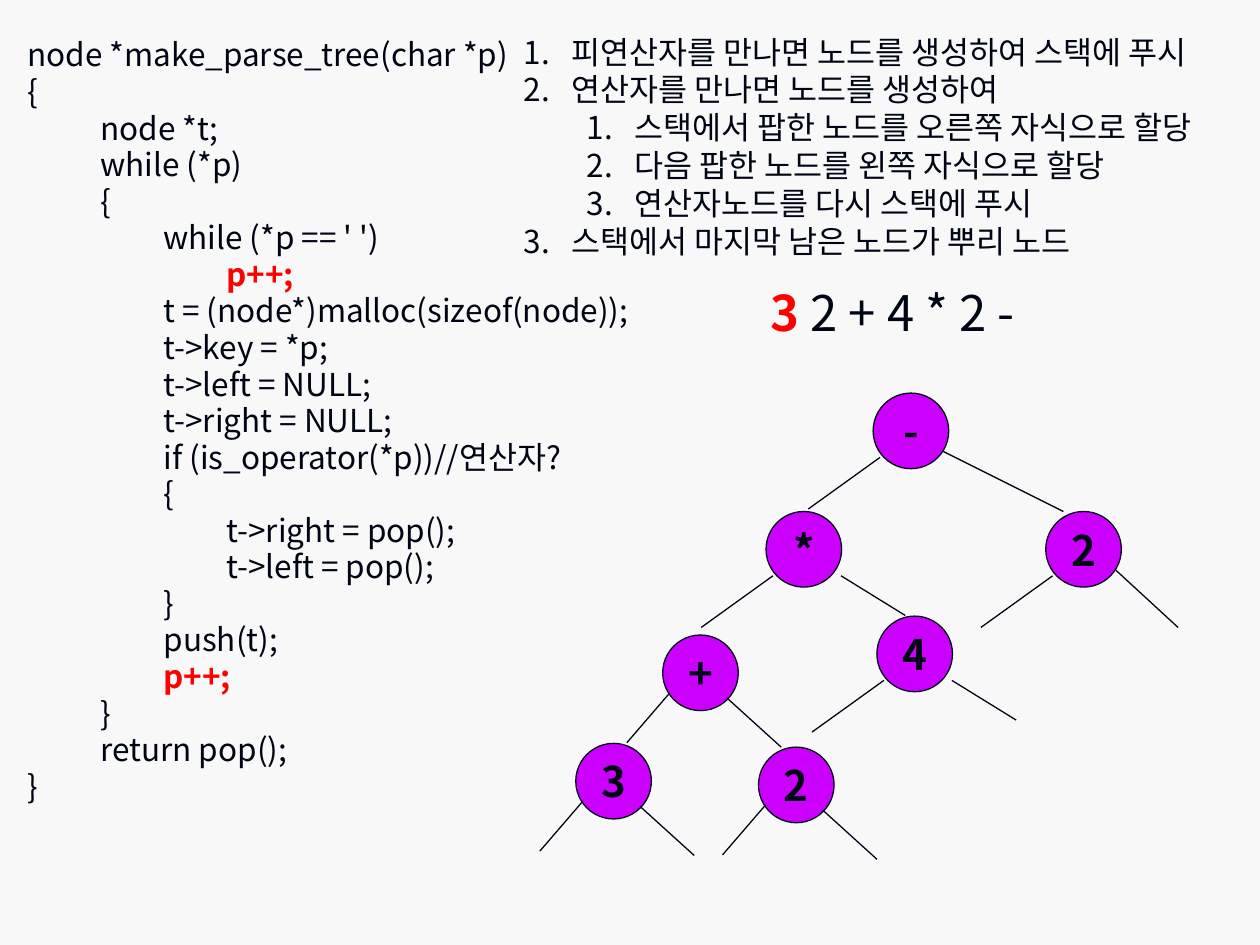
from dataclasses import dataclass

from lxml import etree
from pptx import Presentation
from pptx import util as u
from pptx.dml.color import RGBColor
from pptx.enum import shapes, text
from pptx.oxml.ns import qn

COLS, ROWS = 100, 75  # grid of the slide


@dataclass(frozen=True)
class Theme:
    font: str = "Noto Sans CJK KR"
    paper: str = "F8F8F8"
    ink: str = "000514"
    accent: str = "FF0000"
    node: str = "CC00FF"
    body: int = 18
    label: int = 24
    title: int = 28
    line: float = 0.75


T = Theme()
prs = Presentation()
prs.slide_width, prs.slide_height = u.Inches(10), u.Inches(7.5)

STEP = "p++;"
CODE = [
    "node *make_parse_tree(char *p)", "{", "\tnode *t;", "\twhile (*p)", "\t{",
    "\t\twhile (*p == ' ')", "\t\t\tp++;", "\t\tt = (node*)malloc(sizeof(node));",
    "\t\tt->key = *p;", "\t\tt->left = NULL;", "\t\tt->right = NULL;",
    "\t\tif (is_operator(*p))//연산자?", "\t\t{", "\t\t\tt->right = pop();",
    "\t\t\tt->left = pop();", "\t\t}", "\t\tpush(t);", "\t\tp++;", "\t}",
    "\treturn pop();", "}",
]
RULES = [
    (0, "피연산자를 만나면 노드를 생성하여 스택에 푸시"),
    (0, "연산자를 만나면 노드를 생성하여"),
    (1, "스택에서 팝한 노드를 오른쪽 자식으로 할당"),
    (1, "다음 팝한 노드를 왼쪽 자식으로 할당"),
    (1, "연산자노드를 다시 스택에 푸시"),
    (0, "스택에서 마지막 남은 노드가 뿌리 노드"),
]

# Branches: start and end, measured from the node's top left corner
NODE_SIZE = 6
LEFT_STEEP = (0.55, 4.6, -2.85, 8.55)
LEFT_WIDE = (0.55, 5.1, -5.15, 9.2)
RIGHT_STEEP = (5.1, 5, 9.4, 8.9)
RIGHT_FLAT = (5.95, 5.1, 11.05, 8.25)
RIGHT_DOWN = (5.5, 4.6, 10.5, 9.2)
RIGHT_LONG = (5.5, 4.6, 15.1, 9.4)
# Label, column and row in the tree box, branches
NODES = [
    ("3", 2.8, 27.8, LEFT_STEEP, RIGHT_STEEP),
    ("2", 17.3, 28.1, LEFT_STEEP, RIGHT_STEEP),
    ("+", 9.7, 19.2, LEFT_STEEP, RIGHT_STEEP),
    ("4", 26.7, 17.7, LEFT_WIDE, RIGHT_FLAT),
    ("*", 17.9, 9.4, LEFT_WIDE, RIGHT_FLAT),
    ("2", 40.1, 9.4, LEFT_WIDE, RIGHT_DOWN),
    ("-", 26.4, 0, LEFT_WIDE, RIGHT_LONG),
]


def grid(*lengths):
    """Turn alternating columns and rows into slide lengths."""
    units = (prs.slide_width / COLS, prs.slide_height / ROWS)
    return [u.Emu(round(n * units[i % 2])) for i, n in enumerate(lengths)]


def add_run(p, words, size=T.body, color=T.ink, bold=False):
    r = p.add_run()
    r.text = words
    r.font.name, r.font.size, r.font.bold = T.font, u.Pt(size), bold
    r.font.color.rgb = RGBColor.from_string(color)
    etree.SubElement(r.font._element, qn("a:ea")).set("typeface", T.font)


def add_box(s, box, wrap=True, anchor=text.MSO_ANCHOR.TOP):
    tf = s.shapes.add_textbox(*grid(*box)).text_frame
    tf.word_wrap, tf.vertical_anchor = wrap, anchor
    return tf


def paragraphs(tf, items):
    """Pair each item with its paragraph."""
    for i, item in enumerate(items):
        yield i, item, tf.add_paragraph() if i else tf.paragraphs[0]


def hang(p, margin, indent):
    pPr = p._p.get_or_add_pPr()
    pPr.set("marL", str(grid(margin)[0]))
    pPr.set("indent", str(-grid(indent)[0]))
    return pPr


def code_listing(s, box):
    for i, line, p in paragraphs(add_box(s, box), CODE):
        hang(p, 5.8, 5.8)
        p.line_spacing = 0.8
        p.space_before = u.Pt(0.2 * T.body if i else 0)
        if line.endswith(STEP):
            add_run(p, line.removesuffix(STEP))
            add_run(p, STEP, color=T.accent, bold=True)
        else:
            add_run(p, line)


def rule_list(s, box):
    tf = add_box(s, box, wrap=False)
    tf.auto_size = text.MSO_AUTO_SIZE.SHAPE_TO_FIT_TEXT
    for _, (level, words), p in paragraphs(tf, RULES):
        p.level = level
        pPr = hang(p, 3.75 + 5 * level, 3.75)
        etree.SubElement(pPr, qn("a:buFont")).set("typeface", "+mj-lt")
        etree.SubElement(pPr, qn("a:buAutoNum")).set("type", "arabicPeriod")
        add_run(p, words)


def expression(s, box):
    p = add_box(s, box, anchor=text.MSO_ANCHOR.MIDDLE).paragraphs[0]
    add_run(p, "3", size=T.title, color=T.accent, bold=True)
    add_run(p, " 2 + 4 * 2 -", size=T.title)


def tree_node(group, label, x, y, branches):
    # Circle
    sp = group.shapes.add_shape(shapes.MSO_SHAPE.OVAL, *grid(x, y, NODE_SIZE, NODE_SIZE))
    sp.shadow.inherit = False
    sp.fill.solid()
    sp.fill.fore_color.rgb = RGBColor.from_string(T.node)
    outlines = [sp.line]
    tf = sp.text_frame
    tf.word_wrap, tf.vertical_anchor = False, text.MSO_ANCHOR.MIDDLE
    p = tf.paragraphs[0]
    p.alignment = text.PP_ALIGN.CENTER
    add_run(p, label, size=T.label, bold=True)
    # Branches
    for x1, y1, x2, y2 in branches:
        cn = group.shapes.add_connector(
            shapes.MSO_CONNECTOR.STRAIGHT, *grid(x + x1, y + y1, x + x2, y + y2))
        etree.SubElement(cn._element.spPr, qn("a:effectLst"))
        outlines.append(cn.line)
    for line in outlines:
        line.color.rgb = RGBColor.from_string(T.ink)
        line.width = u.Pt(T.line)


def parse_tree(s, box):
    left, top = box
    for label, x, y, *branches in NODES:
        tree_node(s.shapes.add_group_shape(), label, left + x, top + y, branches)


def main():
    s = prs.slides.add_slide(prs.slide_layouts[6])
    s.background.fill.solid()
    s.background.fill.fore_color.rgb = RGBColor.from_string(T.paper)
    code_listing(s, (1.2, 2.9, 90, 49.5))
    rule_list(s, (40.6, 2.1, 60.8, 19.2))
    expression(s, (60.2, 21.3, 31.5, 6.9))
    parse_tree(s, (42.9, 31.2))
    prs.save("out.pptx")


if __name__ == "__main__":
    main()
